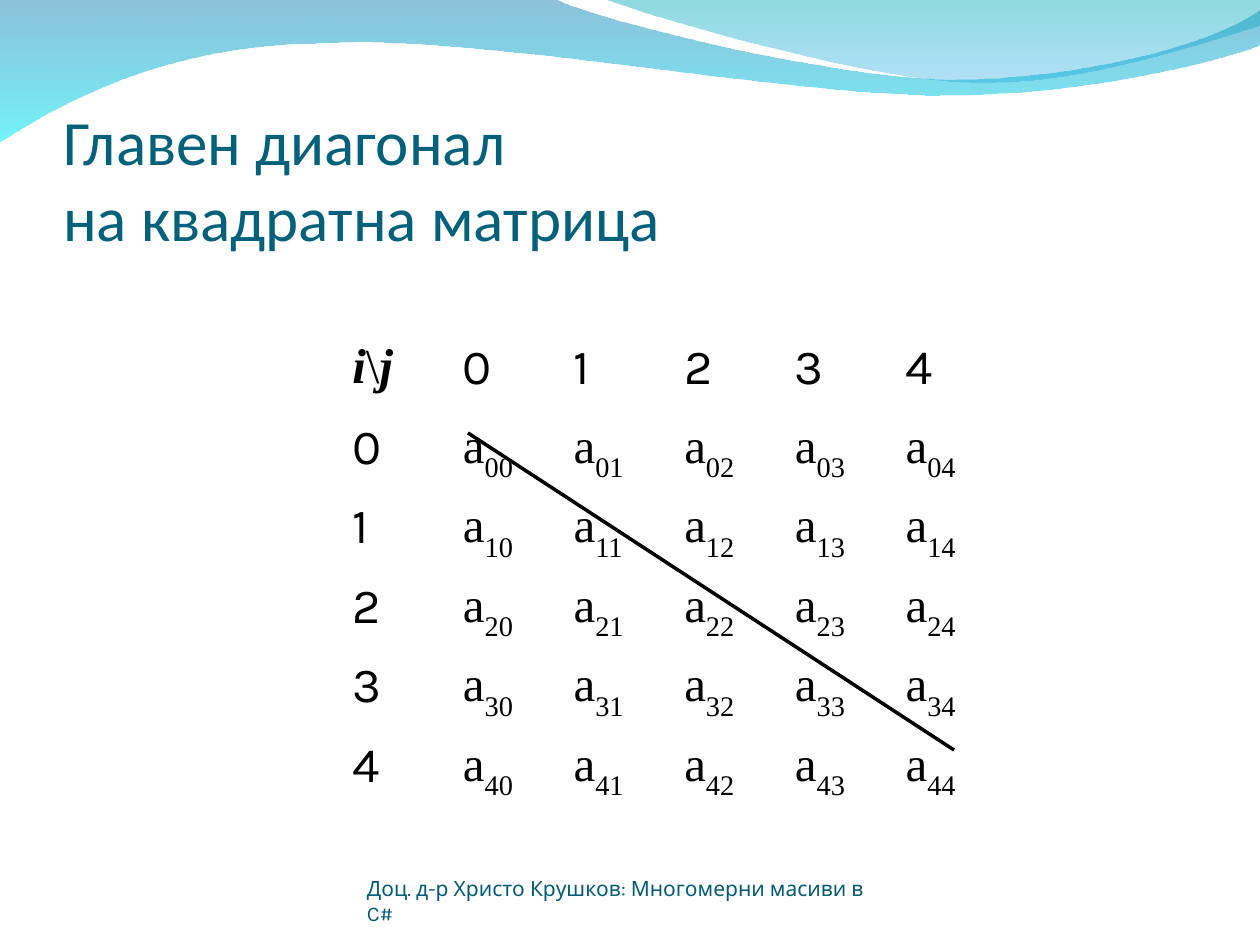
from copy import deepcopy

from lxml.etree import SubElement
from pptx import Presentation
from pptx.dml.color import RGBColor
from pptx.enum.shapes import MSO_CONNECTOR
from pptx.enum.text import MSO_ANCHOR, MSO_AUTO_SIZE, PP_ALIGN
from pptx.oxml.ns import qn
from pptx.util import Emu, Pt

SCALE = 914400 / 126
BLACK = RGBColor(0x00, 0x00, 0x00)
TITLE_BLUE = RGBColor(0x04, 0x61, 0x7B)
FOOTER_BLUE = RGBColor(0x04, 0x5C, 0x75)
WAVE_BLUE = RGBColor(0x00, 0x79, 0xAF)
WAVE_CYAN = RGBColor(0x00, 0xEB, 0xF8)
CREST_TEAL = RGBColor(0x00, 0xAD, 0xB6)
CREST_BLUE = RGBColor(0x00, 0x9B, 0xE5)

MATRIX_SIZE = 5

WAVE = [
    [(0, -1)], [(554, -1)],
    [(600, 21), (837, 79), (955, 79)],
    [(1075, 79), (1207, 47), (1260, 11)],
    [(1261, 45)],
    [(1238, 55), (1096, 96), (940, 95)],
    [(781, 95), (481, 35), (324, 43)],
    [(163, 44), (58, 105), (-1, 142)],
    [(0, -1)],
]
CREST = [
    [(604, -1)],
    [(641, 14), (859, 78), (969, 82)],
    [(1079, 87), (1211, 40), (1260, 26)],
    [(1260, 0)],
    [(604, -1)],
]


def px(value):
    return Emu(round(value * SCALE))


def assign(target, values):
    for name, value in values.items():
        setattr(target, name, value)


def bend(shape, segments):
    lines = shape._element.iter(qn("a:lnTo"))
    remaining = list(lines)
    for segment in segments[1:]:
        group, remaining = remaining[:len(segment)], remaining[len(segment):]
        if len(segment) == 3:
            outline = group[0].getparent()
            curve = SubElement(outline, qn("a:cubicBezTo"))
            outline.replace(group[0], curve)
            for line in group:
                curve.append(line[0])
            for line in group[1:]:
                outline.remove(line)


class SlideBuilder:
    title_font = {"name": "Calibri", "size": Pt(36)}
    footer_font = {"name": "Karla", "size": Pt(12)}
    index_font = {"name": "Karla", "size": Pt(28)}
    matrix_font = {"name": "Times New Roman", "size": Pt(28)}
    strong = {"bold": True, "italic": True}
    index_paragraph = {"space_before": Pt(7)}
    matrix_paragraph = {"alignment": PP_ALIGN.JUSTIFY}

    def __init__(self, presentation):
        self.slide = presentation.slides.add_slide(presentation.slide_layouts[5])
        self.shapes = self.slide.shapes

    def wave(self, segments, stops):
        points = [(px(x), px(y)) for segment in segments for x, y in segment]
        builder = self.shapes.build_freeform(*points[0], scale=1.0)
        builder.add_line_segments(points[1:], close=True)
        shape = builder.convert_to_shape()
        bend(shape, segments)
        shape.shadow.inherit = False
        shape.line.fill.background()
        shape.fill.gradient()
        shape.fill.gradient_angle = 270
        for stop, (position, color, opacity) in zip(shape.fill.gradient_stops, stops):
            stop.position = position
            stop.color.rgb = color
        colors = shape._element.spPr.find(qn("a:gradFill")).iter(qn("a:srgbClr"))
        for element, (position, color, opacity) in zip(colors, stops):
            SubElement(element, qn("a:alpha")).set("val", str(opacity * 1000))

    def run(self, paragraph, text, font, color, subscript=False):
        run = paragraph.add_run()
        run.text = text
        assign(run.font, font)
        run.font.color.rgb = color
        if subscript:
            run.font._element.set("baseline", "-30000")
        return run

    def text(self, shape, box, text, font, color, top_inset=0, bottom_inset=0):
        assign(shape, dict(zip(("left", "top", "width", "height"), map(px, box))))
        frame = shape.text_frame
        assign(frame, {
            "word_wrap": True, "auto_size": MSO_AUTO_SIZE.NONE,
            "vertical_anchor": MSO_ANCHOR.BOTTOM, "margin_left": 0,
            "margin_right": 0, "margin_top": px(top_inset),
            "margin_bottom": px(bottom_inset),
        })
        paragraph = frame.paragraphs[0]
        paragraph.alignment = PP_ALIGN.LEFT
        first, *others = text.split("\n")
        run = self.run(paragraph, first, font, color)
        for line in others:
            paragraph.add_line_break()
            paragraph._p.findall(qn("a:br"))[-1].append(deepcopy(run.font._element))
            self.run(paragraph, line, font, color)

    def title(self, box, text):
        shape = self.shapes.title
        self.shapes._spTree.append(shape._element)
        self.text(shape, box, text, self.title_font, TITLE_BLUE, 6)

    def footer(self, box, text):
        shape = self.shapes.add_textbox(*map(px, box))
        self.text(shape, box, text, self.footer_font, FOOTER_BLUE)

    def cell(self, cell, runs, paragraph_format):
        paragraph = cell.text_frame.paragraphs[0]
        assign(paragraph, paragraph_format)
        for text, font, subscript in runs:
            self.run(paragraph, text, font, BLACK, subscript)

    def matrix(self, box, last_row):
        table = self.shapes.add_table(9, 7, *map(px, box)).table
        assign(table, {"first_row": False, "horz_banding": False})
        table.rows[8].height = px(last_row)
        for cell in table.iter_cells():
            cell.fill.background()
        strong = {**self.matrix_font, **self.strong}
        corner = [("i", strong, False), ("\\", self.matrix_font, False), ("j", strong, False)]
        self.cell(table.cell(1, 1), corner, self.matrix_paragraph)
        for i in range(MATRIX_SIZE):
            index = [(str(i), self.index_font, False)]
            self.cell(table.cell(1, i + 2), index, self.index_paragraph)
            self.cell(table.cell(i + 2, 1), index, self.index_paragraph)
            for j in range(MATRIX_SIZE):
                entry = [("а", self.matrix_font, False), (f"{i}{j}", self.matrix_font, True)]
                self.cell(table.cell(i + 2, j + 2), entry, self.matrix_paragraph)

    def line(self, ends, width):
        connector = self.shapes.add_connector(MSO_CONNECTOR.STRAIGHT, *map(px, ends))
        connector.line.color.rgb = BLACK
        connector.line.width = Pt(width)
        SubElement(connector._element.spPr, qn("a:effectLst"))


def main():
    presentation = Presentation()
    assign(presentation, {"slide_width": px(1260), "slide_height": px(945)})
    builder = SlideBuilder(presentation)
    builder.wave(WAVE, [(0, WAVE_BLUE, 45), (1, WAVE_CYAN, 55)])
    builder.wave(CREST, [(0, CREST_TEAL, 45), (1, CREST_BLUE, 30)])
    builder.matrix((229, 254, 775, 716), 53)
    builder.title((63, 97, 1134, 157), "Главен диагонал \nна квадратна матрица")
    builder.footer((367, 876, 528, 50), "Доц. д-р Христо Крушков: Многомерни масиви в C#")
    builder.line((468, 433, 954, 750), 2)
    presentation.save("out.pptx")


if __name__ == "__main__":
    main()
